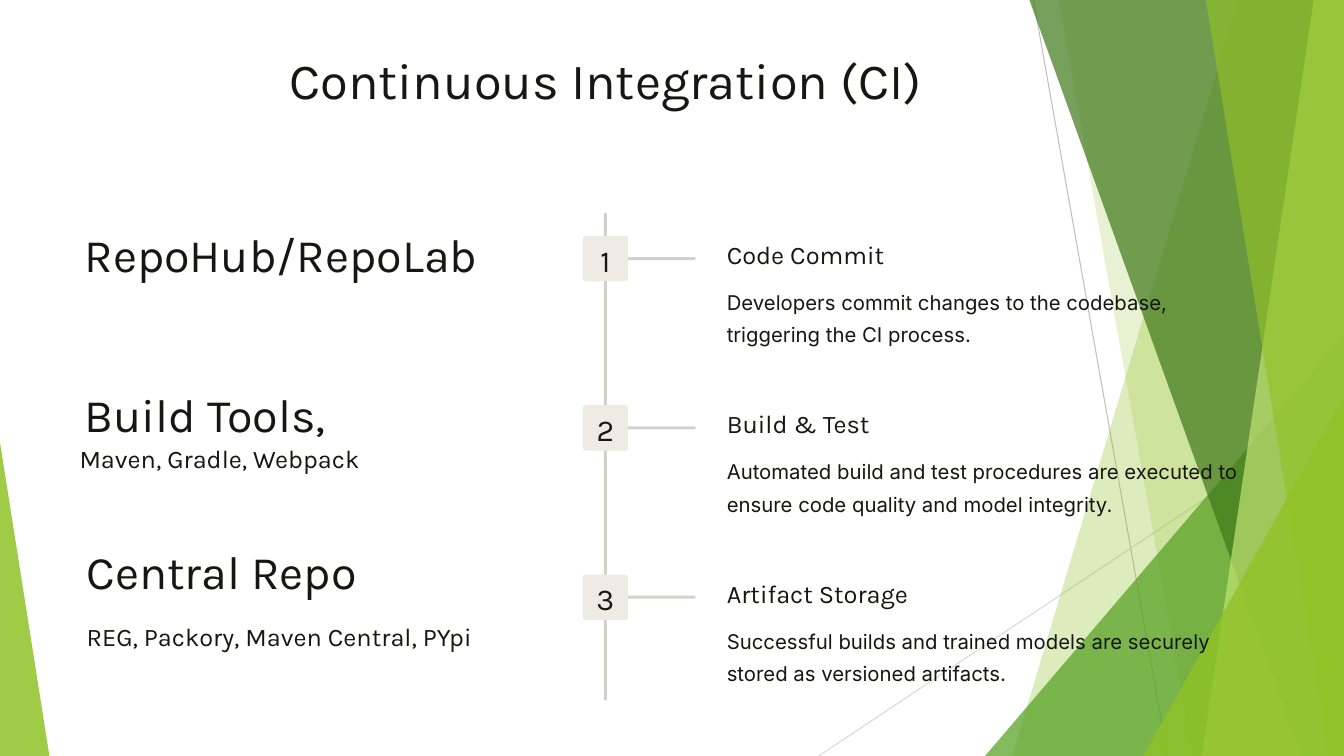
import lxml.etree
import pptx
import pptx.util
import pptx.dml.color
import pptx.enum.shapes
import pptx.enum.text
import pptx.oxml.ns

Inches = pptx.util.Inches
Pt = pptx.util.Pt
KIND = pptx.enum.shapes.MSO_SHAPE
ALIGN = pptx.enum.text.PP_ALIGN
WIDE, HIGH = 13.33, 7.5
INK, RULE, TILE = "161613", "D3D1C9", "EDEBE3"

STEPS = [
    ("Code Commit", "Developers commit changes to the codebase, triggering "
     "the CI process."),
    ("Build & Test", "Automated build and test procedures are executed to "
     "ensure code quality and model integrity."),
    ("Artifact Storage", "Successful builds and trained models are securely "
     "stored as versioned artifacts."),
]
# Tool headings: left, top, name, then left, top, detail
TOOLS = [
    (0.74, 2.43, "RepoHub/RepoLab", 0, 0, ""),
    (0.74, 4.02, "Build Tools,", 0.69, 4.34, "Maven, Gradle, Webpack"),
    (0.76, 5.58, "Central Repo", 0.76, 6.1,
     "REG, Packory, Maven Central, PYpi"),
]
# Slanted panels: top left x, bottom left x, colour, opacity
PANELS = [
    (12.28, 10.04, "90C226", 30),
    (10.5, 11.83, "90C226", 20),
    (10.21, 12.91, "3F7819", 70),
    (13.03, 11.92, "C0E474", 70),
    (11.96, 13.18, "90C226", 65),
]


def color(code):
    return pptx.dml.color.RGBColor.from_string(code)


def add_node(parent, tag):
    return lxml.etree.SubElement(parent, pptx.oxml.ns.qn(tag))


def paint(shape, code, alpha=100):
    """Flat fill with no line or shadow."""
    shape.shadow.inherit = False
    shape.line.fill.background()
    shape.fill.solid()
    shape.fill.fore_color.rgb = color(code)
    if alpha < 100:
        tone = shape._element.spPr.find(".//" + pptx.oxml.ns.qn("a:srgbClr"))
        add_node(tone, "a:alpha").set("val", str(alpha * 1000))


def block(slide, kind, box, code, adjust, alpha=100):
    shape = slide.shapes.add_shape(kind, *map(Inches, box))
    shape.adjustments[0] = adjust
    paint(shape, code, alpha)


def write(shape, text, size, lead, font="Karla", align=ALIGN.LEFT, wrap=False):
    frame = shape.text_frame
    frame.text = text
    frame.word_wrap = wrap
    frame.auto_size = pptx.enum.text.MSO_AUTO_SIZE.NONE
    frame.vertical_anchor = pptx.enum.text.MSO_ANCHOR.TOP
    line = frame.paragraphs[0]
    line.alignment = align
    line.line_spacing = Pt(lead)
    face = line.runs[0].font
    face.name, face.size = font, Pt(size)
    face.color.rgb = color(INK)


def label(slide, box, *args, **style):
    write(slide.shapes.add_textbox(*map(Inches, box)), *args, **style)


def panel(slide, top, base, code, alpha):
    right, foot = Inches(WIDE), Inches(HIGH)
    pen = slide.shapes.build_freeform(Inches(top), 0, scale=1.0)
    pen.add_line_segments([(right, 0), (right, foot), (Inches(base), foot)])
    paint(pen.convert_to_shape(), code, alpha)


def wedge(slide, left, top, width, peak, code, alpha):
    box = (left, top, width, HIGH - top)
    block(slide, KIND.ISOSCELES_TRIANGLE, box, code, peak, alpha)


def hair(slide, ends, code):
    line = slide.shapes.add_connector(
        pptx.enum.shapes.MSO_CONNECTOR.STRAIGHT, *map(Inches, ends))
    line.line.color.rgb = color(code)
    line.line.width = Pt(0.75)
    add_node(line._element.spPr, "a:effectLst")


def decor(slide):
    """Green facets along the slide edges, back to front."""
    hair(slide, (10.25, 0, 11.58, HIGH), "BFBFBF")
    hair(slide, (WIDE, 4.03, 8.12, HIGH), "D9D9D9")
    for item in PANELS[:2]:
        panel(slide, *item)
    wedge(slide, 9.77, 3.33, 3.56, 1, "54A021", 72)
    for item in PANELS[2:]:
        panel(slide, *item)
    wedge(slide, 11.34, 3.93, 1.99, 1, "90C226", 80)
    wedge(slide, 0, 4.39, 0.49, 0, "90C226", 85)


def header(slide, box):
    title = slide.shapes.title
    title.left, title.top, title.width, title.height = map(Inches, box)
    write(title, "Continuous Integration (CI)", 36.2, 45.2, wrap=True)


def step(slide, left, top, num, name, text):
    """Number tile, branch line and text of one step."""
    rounded = KIND.ROUNDED_RECTANGLE
    block(slide, rounded, (left + 0.42, top + 0.21, 0.7, 0.03), RULE, 0.5)
    block(slide, rounded, (left, top, 0.45, 0.45), TILE, 0.067)
    label(slide, (left + 0.14, top + 0.07, 0.17, 0.3), str(num), 21.7, 21.7,
          align=ALIGN.CENTER)
    label(slide, (left + 1.33, top - 0.03, 2.51, 0.31), name, 18.1, 22.6)
    label(slide, (left + 1.33, top + 0.41, 5.52, 0.64), text, 14.5, 23.1,
          font="Inter", wrap=True)


def flow(slide, left, top, height):
    """Vertical timeline with evenly spaced steps."""
    block(slide, KIND.ROUNDED_RECTANGLE, (left + 0.21, top, 0.03, height),
          RULE, 0.5)
    for i, (name, text) in enumerate(STEPS):
        step(slide, left, top + 0.23 + 1.68 * i, i + 1, name, text)


def tools(slide):
    """Left column of tool names and details."""
    for left, top, name, sub_left, sub_top, sub in TOOLS:
        label(slide, (left, top, 3.45, 0.35), name, 33.3, 22.6)
        if sub:
            label(slide, (sub_left, sub_top, 2.51, 0.31), sub, 18.1, 22.6)


def main():
    deck = pptx.Presentation()
    deck.slide_width, deck.slide_height = Inches(WIDE), Inches(HIGH)
    slide = deck.slides.add_slide(deck.slide_layouts[5])
    decor(slide)
    header(slide, (2.77, 0.41, 6.93, 1.26))
    flow(slide, 5.78, 2.11, 4.84)
    tools(slide)
    deck.save("out.pptx")


if __name__ == "__main__":
    main()
